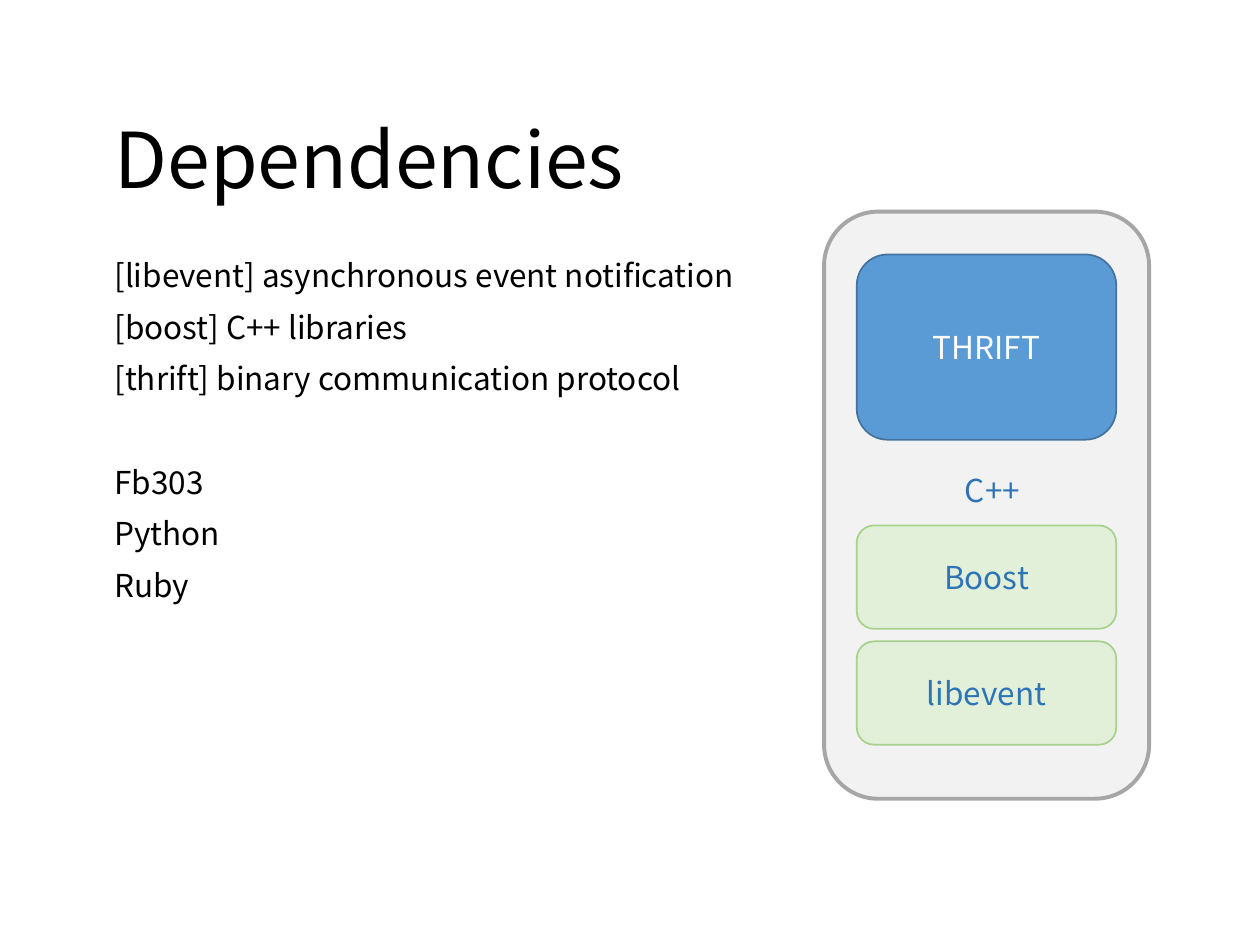
from dataclasses import dataclass

from pptx import Presentation
from pptx.dml.color import RGBColor
from pptx.enum.shapes import MSO_SHAPE
from pptx.enum.text import MSO_ANCHOR, PP_ALIGN
from pptx.util import Inches, Pt

ROUNDED = MSO_SHAPE.ROUNDED_RECTANGLE
TOP, MIDDLE = MSO_ANCHOR.TOP, MSO_ANCHOR.MIDDLE
CENTER = PP_ALIGN.CENTER


@dataclass(frozen=True)
class Theme:
    font: str = "Noto Sans CJK KR"
    title_size: int = 44
    text_size: int = 18
    black: str = "000000"
    white: str = "FFFFFF"
    label: str = "2E75B6"
    panel_fill: str = "F2F2F2"
    panel_line: str = "A6A6A6"
    blue_fill: str = "5B9BD5"
    blue_line: str = "43739E"
    green_fill: str = "E2F0D9"
    green_line: str = "A9D18E"


THEME = Theme()


def set_font(p, color, size=THEME.text_size):
    p.font.name = THEME.font
    p.font.size = Pt(size)
    p.font.color.rgb = RGBColor.from_string(color)


def add_text(s, box, lines, color, size=THEME.text_size, anchor=TOP,
             wrap=True, spacing=0.9):
    """Add a text box; lines are (text, points before) pairs."""
    tf = s.shapes.add_textbox(*map(Inches, box)).text_frame
    tf.word_wrap = wrap
    tf.vertical_anchor = anchor
    for i, (text, before) in enumerate(lines):
        p = tf.add_paragraph() if i else tf.paragraphs[0]
        p.text = text
        p.line_spacing = spacing
        p.space_before = Pt(before)
        set_font(p, color, size)


def add_block(s, box, fill, line, width=1, text="", color=THEME.label):
    sp = s.shapes.add_shape(ROUNDED, *map(Inches, box))
    sp.shadow.inherit = False
    sp.fill.solid()
    sp.fill.fore_color.rgb = RGBColor.from_string(fill)
    sp.line.color.rgb = RGBColor.from_string(line)
    sp.line.width = Pt(width)
    if text:
        tf = sp.text_frame
        tf.word_wrap = True
        tf.vertical_anchor = MIDDLE
        p = tf.paragraphs[0]
        p.text = text
        p.alignment = CENTER
        set_font(p, color)


def main():
    prs = Presentation()
    prs.slide_width, prs.slide_height = Inches(10), Inches(7.5)
    s = prs.slides.add_slide(prs.slide_layouts[6])

    # Dependency list, with a wider gap between its two groups
    add_text(s, (0.81, 2.02, 8.62, 4.76), [
        ("[libevent] asynchronous event notification", 0),
        ("[boost] C++ libraries", 10),
        ("[thrift] binary communication protocol", 10),
        ("Fb303", 39.5),
        ("Python", 10),
        ("Ruby", 10),
    ], THEME.black)

    # Title
    add_text(s, (0.81, 0.57, 8.62, 1.45), [("Dependencies", 0)],
             THEME.black, THEME.title_size, MIDDLE)

    # Stack diagram
    add_block(s, (6.54, 1.68, 2.58, 4.66), THEME.panel_fill,
              THEME.panel_line, 2.25)
    left, width = 6.8, 2.06
    add_block(s, (left, 2.02, width, 1.47), THEME.blue_fill,
              THEME.blue_line, text="THRIFT", color=THEME.white)
    add_text(s, (7.56, 3.69, 0.72, 0.4), [("C++", 0)], THEME.label,
             wrap=False, spacing=1.0)
    for i, name in enumerate(("Boost", "libevent")):
        add_block(s, (left, 4.17 + i * 0.92, width, 0.82),
                  THEME.green_fill, THEME.green_line, text=name)

    prs.save("out.pptx")


if __name__ == "__main__":
    main()
